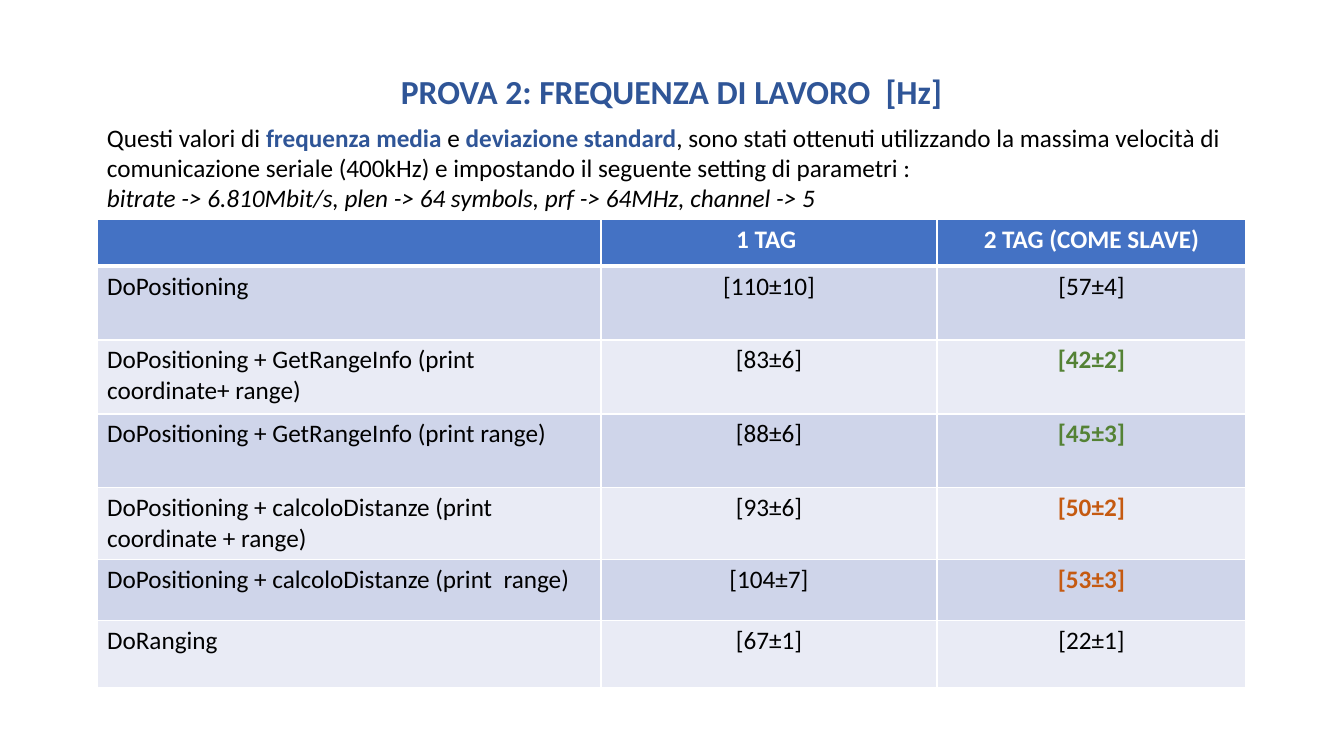
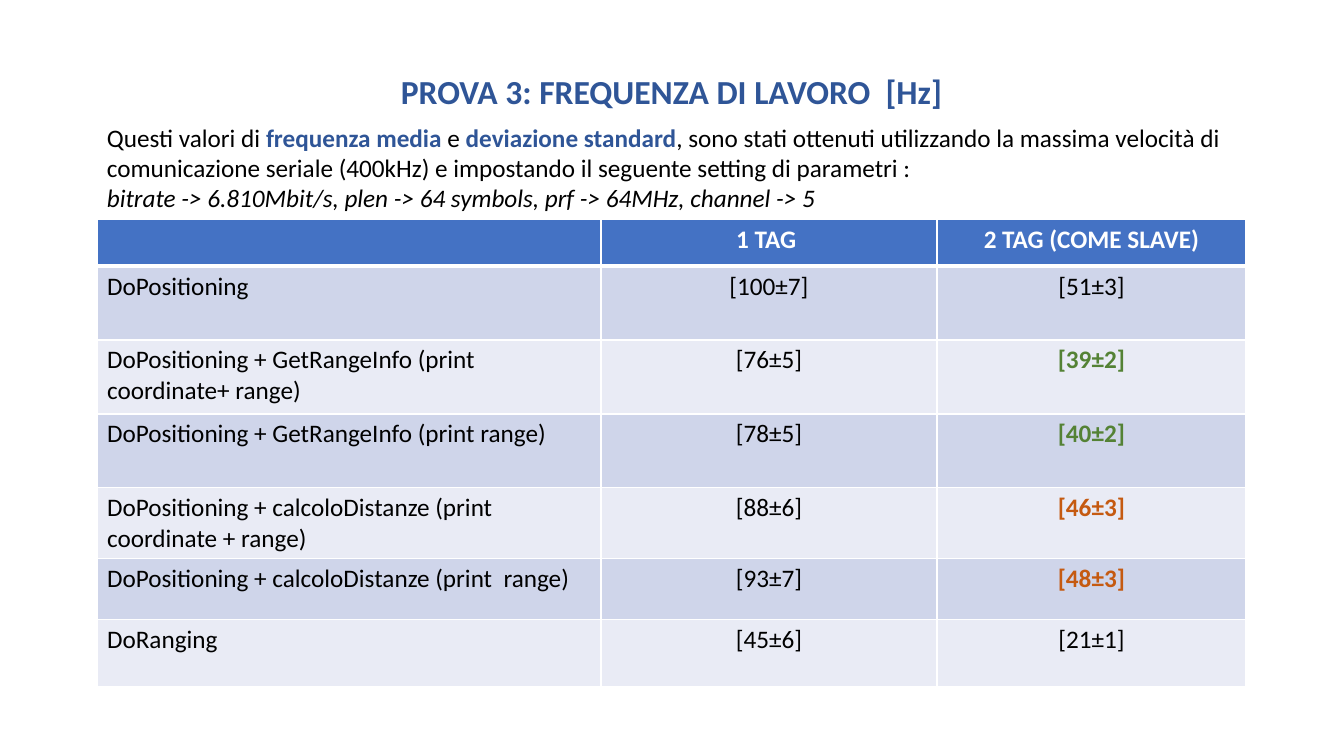
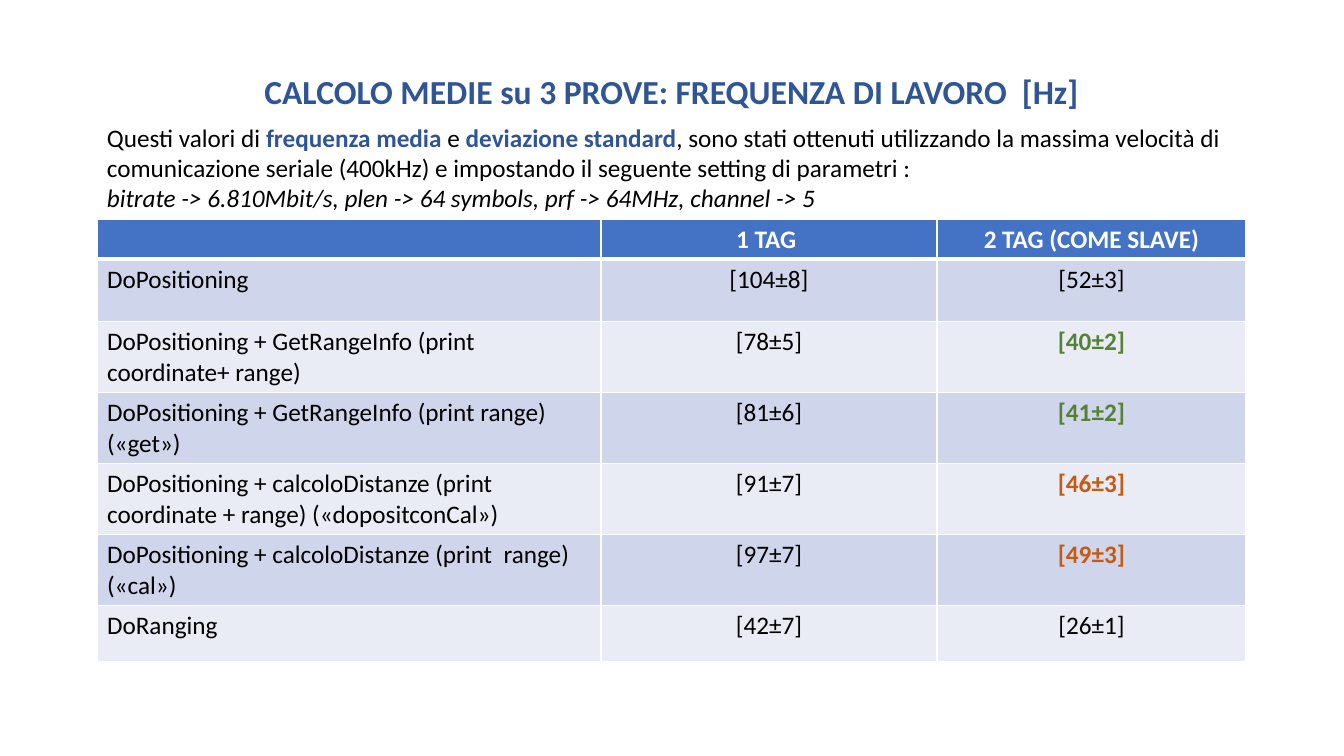
from lxml import etree
from pptx import Presentation
from pptx.dml.color import RGBColor
from pptx.enum.text import MSO_AUTO_SIZE, PP_ALIGN
from pptx.oxml.ns import qn
from pptx.util import Pt

LEFT, MID = PP_ALIGN.LEFT, PP_ALIGN.CENTER
GROW = MSO_AUTO_SIZE.SHAPE_TO_FIT_TEXT
FONT = "Calibri"
HUES = {
    "white": "FFFFFF", "black": "000000", "title": "2F5597", "head": "4472C4",
    "odd": "CFD5EA", "even": "E9EBF5", "green": "548235", "rust": "C55A11",
}
SCALE = 914400 / 100.8
BODY = (97, 219, 1149)
INTRO = (97, 117, 1150, 102)
TITLE_Y, TITLE_H = 66, 50
COLS = [504, 336, 309]
HEADS = ["", "1 TAG ", "2 TAG (COME SLAVE)"]
MARKS = ["black", "green", "green", "rust", "rust", "black"]
TESTS = [
    "DoPositioning",
    "DoPositioning + GetRangeInfo (print coordinate+ range)",
    "DoPositioning + GetRangeInfo (print range)",
    "DoPositioning + calcoloDistanze (print coordinate + range)",
    "DoPositioning + calcoloDistanze (print  range)",
    "DoRanging",
]
NOTES = ["", "", " («get»)", " («dopositconCal»)", " («cal»)", ""]
KEY = {"hue": "title", "bold": True}
LINES = [
    [
        ("Questi valori di ", {}),
        ("frequenza media ", KEY),
        ("e ", {}),
        ("deviazione standard", KEY),
        (", sono stati ottenuti utilizzando la massima velocità di comunicazione "
         "seriale (400kHz) e impostando il seguente setting di parametri : ", {}),
    ],
    [("bitrate -> 6.810Mbit/s, plen -> 64 symbols, prf -> 64MHz, channel -> 5",
      {"slant": True})],
]
TALL = [47, 74, 74, 74, 71, 61, 67]
SHORT = [40, 62, 71, 71, 71, 71, 56]
DECK = [
    {"title": "PROVA 2: FREQUENZA DI LAVORO  [Hz]", "wide": 623,
     "tests": TESTS, "rows": TALL,
     "one": ["110±10", "83±6", "88±6", "93±6", "104±7", "67±1"],
     "two": ["57±4", "42±2", "45±3", "50±2", "53±3", "22±1"]},
    {"title": "PROVA 3: FREQUENZA DI LAVORO  [Hz]", "wide": 623,
     "tests": TESTS, "rows": TALL,
     "one": ["100±7", "76±5", "78±5", "88±6", "93±7", "45±6"],
     "two": ["51±3", "39±2", "40±2", "46±3", "48±3", "21±1"]},
    {"title": "CALCOLO MEDIE su 3 PROVE: FREQUENZA DI LAVORO  [Hz]", "wide": 907,
     "tests": [test + note for test, note in zip(TESTS, NOTES)], "rows": SHORT,
     "one": ["104±8", "78±5", "81±6", "91±7", "97±7", "42±7"],
     "two": ["52±3", "40±2", "41±2", "46±3", "49±3", "26±1"]},
]


def px(size):
    """Turn pixels into EMU."""
    return round(size * SCALE)


def tint(name):
    """Look up a named colour."""
    return RGBColor.from_string(HUES[name])


def style(run, size=18, hue="black", bold=False, slant=False):
    """Format one run."""
    font = run.font
    font.name, font.size = FONT, Pt(size)
    font.bold, font.italic = bold, slant
    font.color.rgb = tint(hue)


def write(frame, text, align=LEFT, **form):
    """Fill a frame with a string, or with lines of (words, format) runs."""
    lines = [[(text, {})]] if isinstance(text, str) else text
    for num, line in enumerate(lines):
        para = frame.add_paragraph() if num else frame.paragraphs[0]
        para.alignment = align
        for words, extra in line:
            run = para.add_run()
            run.text = words
            style(run, **{**form, **extra})


def label(slide, box, text, **form):
    """Add a wrapped text box that fits its text."""
    frame = slide.shapes.add_textbox(*map(px, box)).text_frame
    frame.word_wrap = True
    frame.auto_size = GROW
    write(frame, text, **form)


def edge(cell, top=1, low=1):
    """Draw the white borders of a cell, widths in points."""
    props = cell._tc.get_or_add_tcPr()
    for side, width in (("L", 1), ("R", 1), ("T", top), ("B", low)):
        line = etree.SubElement(props, qn("a:ln" + side), w=str(Pt(width)))
        fill = etree.SubElement(line, qn("a:solidFill"))
        etree.SubElement(fill, qn("a:srgbClr"), val=HUES["white"])


def paint(cell, hue):
    """Fill a cell with a named colour."""
    cell.fill.solid()
    cell.fill.fore_color.rgb = tint(hue)


def grid(slide, box, rows, tests, one, two):
    """Build the table of frequencies in a left, top, width box."""
    size = (*box, sum(rows))
    table = slide.shapes.add_table(len(rows), len(COLS), *map(px, size)).table
    table.first_row = table.horz_banding = False
    for col, width in zip(table.columns, COLS):
        col.width = px(width)
    for row, height in zip(table.rows, rows):
        row.height = px(height)
    for num, head in enumerate(HEADS):
        cell = table.cell(0, num)
        edge(cell, low=3)
        paint(cell, "head")
        if head:
            write(cell.text_frame, head, align=MID, hue="white", bold=True)
    for row, (test, lone, pair, mark) in enumerate(zip(tests, one, two, MARKS), 1):
        forms = [
            (test, {}),
            (f"[{lone}]", {"align": MID}),
            (f"[{pair}]", {"align": MID, "hue": mark, "bold": mark != "black"}),
        ]
        for num, (text, form) in enumerate(forms):
            cell = table.cell(row, num)
            edge(cell, top=3 if row == 1 else 1)
            paint(cell, "odd" if row % 2 else "even")
            write(cell.text_frame, text, **form)


def page(deck, title, wide, **data):
    """Add one slide with its table, introduction and title."""
    slide = deck.slides.add_slide(deck.slide_layouts[6])
    grid(slide, BODY, **data)
    label(slide, INTRO, LINES)
    left = BODY[0] + (BODY[2] - wide) / 2
    label(slide, (left, TITLE_Y, wide, TITLE_H), title,
          align=MID, size=24, hue="title", bold=True)


def main():
    """Build and save the deck."""
    deck = Presentation()
    deck.slide_width, deck.slide_height = px(1344), px(756)
    for data in DECK:
        page(deck, **data)
    deck.save("out.pptx")


main()
